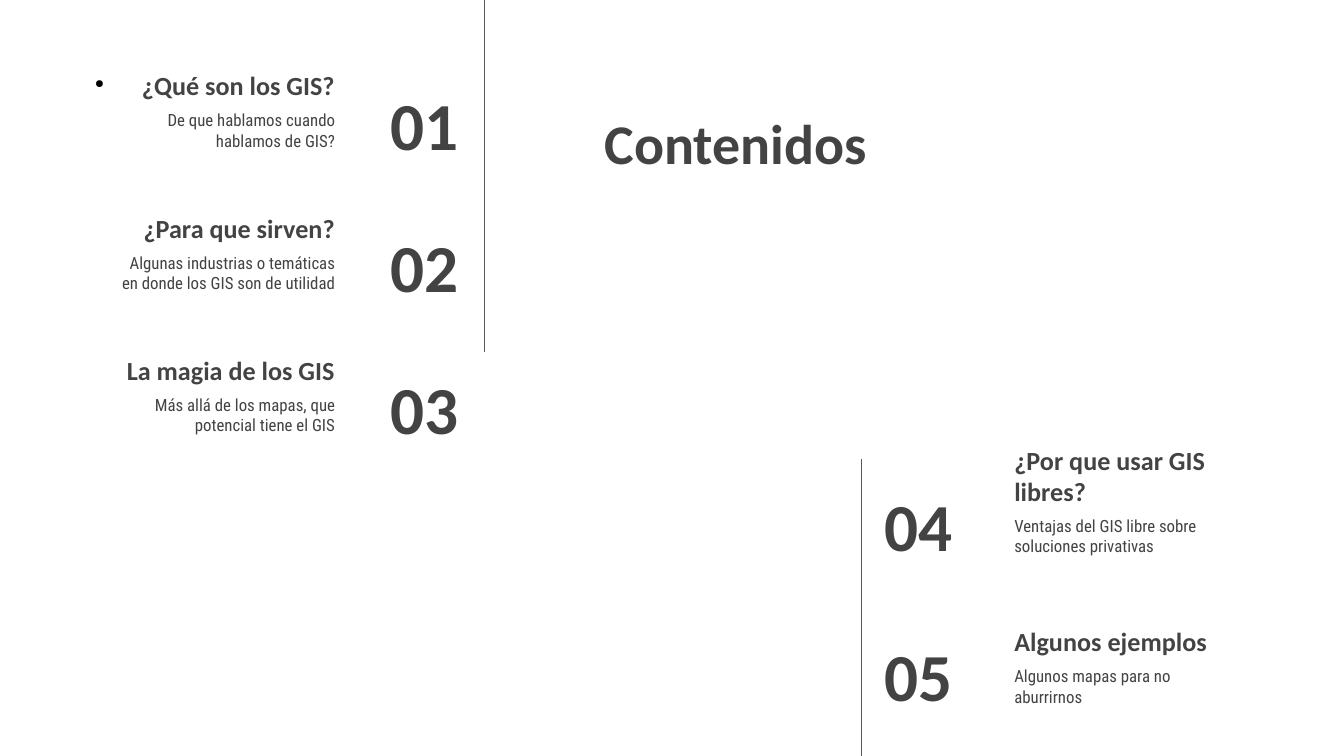
from lxml import etree
from pptx import Presentation
from pptx.dml.color import RGBColor
from pptx.enum.shapes import MSO_CONNECTOR
from pptx.enum.text import MSO_ANCHOR, PP_ALIGN
from pptx.oxml.ns import qn
from pptx.util import Cm, Pt

INK = RGBColor(0x43, 0x43, 0x43)
RULE = RGBColor(0x59, 0x59, 0x59)
BLACK = RGBColor(0x00, 0x00, 0x00)

TITLE = dict(name="Calibri", size=Pt(30), bold=True)
NUMBER = dict(name="Calibri", size=Pt(36), bold=True)
HEADING = dict(name="Calibri", size=Pt(14), bold=True)
DETAIL = dict(name="Roboto Condensed", size=Pt(9), bold=False)

ROW = 1.6  # height of each text box, cm
HEADING_WIDTH, DETAIL_WIDTH = 5.49, 4.65

LEFT_TOPICS = [
    ("01", "¿Qué son los GIS?", "De que hablamos cuando hablamos de GIS?"),
    ("02", "¿Para que sirven?",
     "Algunas industrias o temáticas en donde los GIS son de utilidad"),
    ("03", "La magia de los GIS",
     "Más allá de los mapas, que potencial tiene el GIS"),
]
RIGHT_TOPICS = [
    ("04", "¿Por que usar GIS libres?",
     "Ventajas del GIS libre sobre soluciones privativas"),
    ("05", "Algunos ejemplos", "Algunos mapas para no aburrirnos"),
]


def add_bullet(paragraph):
    properties = paragraph._p.get_or_add_pPr()
    properties.set("marL", str(Cm(1.19)))
    properties.set("indent", str(Cm(-0.89)))
    color = etree.SubElement(properties, qn("a:buClr"))
    etree.SubElement(color, qn("a:srgbClr"), val=str(BLACK))
    etree.SubElement(properties, qn("a:buSzPct"), val="45000")
    etree.SubElement(properties, qn("a:buChar"), char="●")


def add_text(slide, text, box, style, align, anchor=MSO_ANCHOR.MIDDLE, bullet=False):
    frame = slide.shapes.add_textbox(*map(Cm, box)).text_frame
    frame.word_wrap = True
    frame.vertical_anchor = anchor
    for side in ("left", "top", "right", "bottom"):
        setattr(frame, f"margin_{side}", Cm(0.25))
    paragraph = frame.paragraphs[0]
    paragraph.alignment = align
    if bullet:
        add_bullet(paragraph)
    run = paragraph.add_run()
    run.text = text
    for attribute, value in style.items():
        setattr(run.font, attribute, value)
    run.font.color.rgb = INK


def add_rule(slide, x, top, bottom):
    rule = slide.shapes.add_connector(
        MSO_CONNECTOR.STRAIGHT, Cm(x), Cm(top), Cm(x), Cm(bottom))
    rule.line.color.rgb = RULE
    rule.line.width = Pt(0.75)
    etree.SubElement(rule._element.spPr, qn("a:effectLst"))


def add_left_topic(slide, left, top, topic, bullet):
    number, heading, detail = topic
    align = PP_ALIGN.RIGHT
    add_text(slide, heading, (left, top, HEADING_WIDTH, ROW), HEADING, align,
             MSO_ANCHOR.BOTTOM, bullet)
    add_text(slide, detail,
             (left + HEADING_WIDTH - DETAIL_WIDTH, top + 1.27, DETAIL_WIDTH, ROW),
             DETAIL, align, MSO_ANCHOR.TOP)
    add_text(slide, number, (left + 4.76, top + 0.97, 3.07, ROW), NUMBER, align)


def add_right_topic(slide, left, top, topic):
    number, heading, detail = topic
    align = PP_ALIGN.LEFT
    add_text(slide, number, (left, top + 0.88, 2.97, ROW), NUMBER, align)
    add_text(slide, heading, (left + 2.46, top, HEADING_WIDTH, ROW), HEADING,
             align, MSO_ANCHOR.BOTTOM)
    add_text(slide, detail, (left + 2.46, top + 1.27, DETAIL_WIDTH, ROW), DETAIL,
             align, MSO_ANCHOR.TOP)


def add_left_column(slide, left, top, pitch):
    for index, topic in enumerate(LEFT_TOPICS):
        add_left_topic(slide, left, top + index * pitch, topic, bullet=index == 0)
    add_rule(slide, left + 8.07, 0, 6.65)


def add_right_column(slide, left, top, pitch):
    for index, topic in enumerate(RIGHT_TOPICS):
        add_right_topic(slide, left, top + index * pitch, topic)
    add_rule(slide, left - 0.18, top + 0.45, 14.3)


def main():
    presentation = Presentation()
    presentation.slide_width = Cm(25.4)
    presentation.slide_height = Cm(14.29)
    slide = presentation.slides.add_slide(presentation.slide_layouts[6])
    add_text(slide, "Contenidos", (10.21, 1.37, 7.39, 2.62), TITLE, PP_ALIGN.CENTER)
    add_left_column(slide, 1.09, 0.56, 2.69)
    add_right_column(slide, 16.46, 8.23, 2.84)
    presentation.save("out.pptx")


if __name__ == "__main__":
    main()
